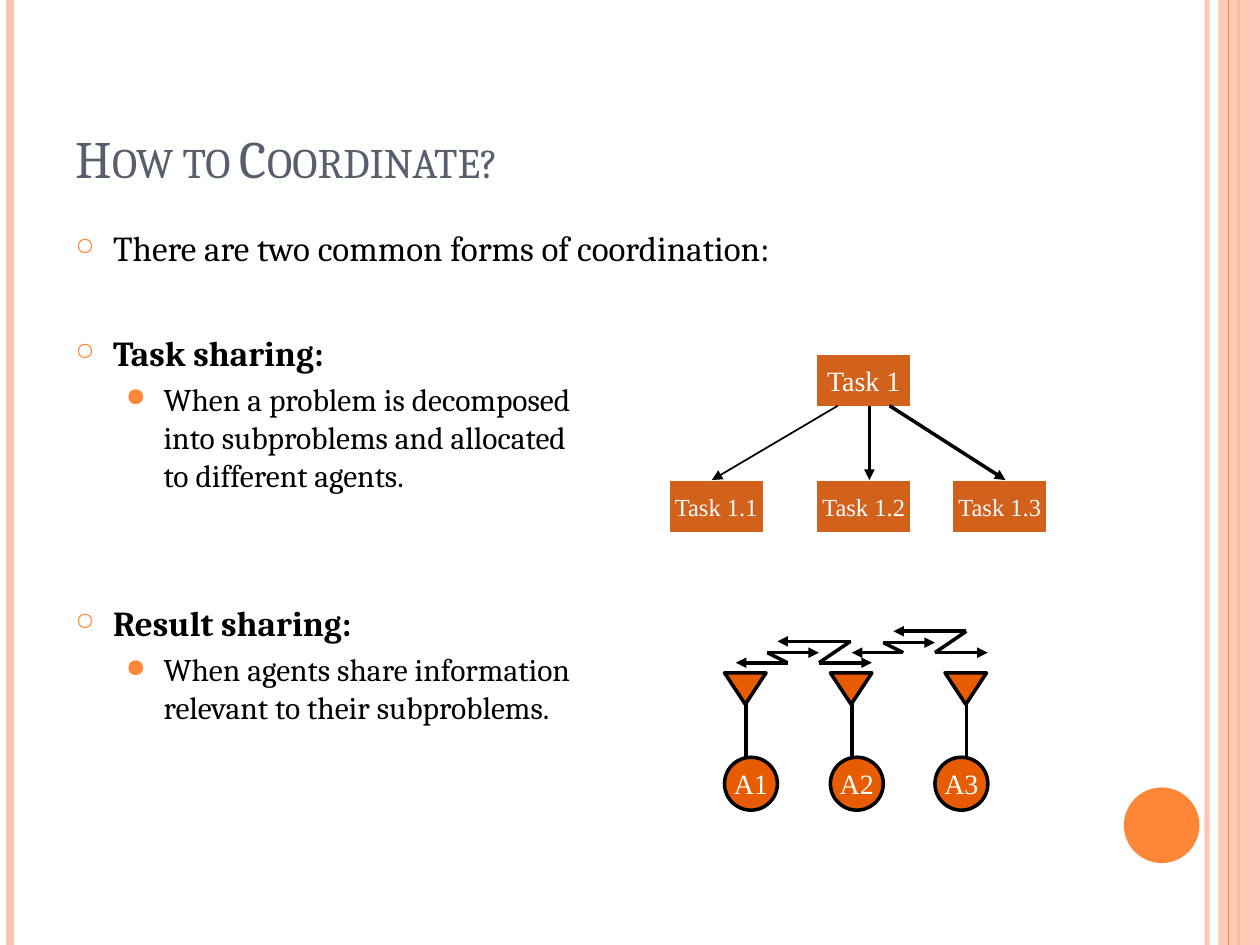
from typing import NamedTuple, Optional

from lxml.etree import SubElement
from pptx import Presentation
from pptx.dml.color import RGBColor
from pptx.enum.shapes import MSO_CONNECTOR, MSO_SHAPE
from pptx.enum.text import MSO_ANCHOR, MSO_AUTO_SIZE, PP_ALIGN
from pptx.oxml.ns import qn
from pptx.util import Inches, Pt

BLACK = RGBColor(0x00, 0x00, 0x00)
WHITE = RGBColor(0xFF, 0xFF, 0xFF)
SLATE = RGBColor(0x57, 0x5F, 0x6D)
ORANGE = RGBColor(0xFE, 0x86, 0x37)
PEACH = RGBColor(0xFE, 0xC3, 0xAE)
TASK_FILL = RGBColor(0xD2, 0x61, 0x1C)
AGENT_FILL = RGBColor(0xE7, 0x5C, 0x01)
SERIF = "Cambria"
LABEL_FONT = "Times New Roman"


class Bullet(NamedTuple):
    char: str
    size: int
    indent: float


class Point(NamedTuple):
    lines: tuple
    level: int = 0
    before: float = 6
    bold: bool = False


class Task(NamedTuple):
    label: str
    left: float
    top: float
    size: int


class Arrow(NamedTuple):
    start: tuple
    end: tuple
    width: float = 2
    head: bool = False
    tail: bool = False


class Agent(NamedTuple):
    label: str
    left: float
    antenna_left: float


BULLETS = (Bullet("○", 70, 0.3), Bullet("●", 80, 0.7))
POINTS = (
    Point(("There are two common forms of coordination:",), before=0),
    Point(("Task sharing:",), before=36, bold=True),
    Point(("When a problem is decomposed ", "into subproblems and allocated ",
           "to different agents."), level=1, before=3.6),
    Point(("Result sharing:",), before=62, bold=True),
    Point(("When agents share information ", "relevant to their subproblems."),
          level=1, before=3.6),
)
TASKS = (Task("Task 1", 6.48, 2.81, 16), Task("Task 1.1", 5.31, 3.81, 14),
         Task("Task 1.2", 6.48, 3.81, 14), Task("Task 1.3", 7.56, 3.81, 14))
TASK_ARROWS = (Arrow((6.65, 3.22), (5.65, 3.81), width=1, tail=True),
               Arrow((6.9, 3.22), (6.9, 3.81), tail=True),
               Arrow((7.06, 3.22), (7.98, 3.81), tail=True))
AGENTS = (Agent("A1", 5.75, 5.75), Agent("A2", 6.59, 6.59), Agent("A3", 7.42, 7.5))
EXCHANGES = (
    ((5.84, 5.26), (6.25, 5.26), (6.09, 5.18), (6.5, 5.18)),
    ((6.17, 5.09), (6.75, 5.09), (6.5, 5.26), (6.92, 5.26)),
)
EXCHANGE_SHIFTS = ((0, 0), (0.92, -0.08))


def apply_format(target, **values) -> None:
    for name, value in values.items():
        setattr(target, name, value)


def set_alpha(fill_parent, percent: int) -> None:
    color = next(fill_parent.iter(qn("a:srgbClr")))
    SubElement(color, qn("a:alpha"), val=str(percent * 1000))


def add_line(slide, arrow: Arrow, color: RGBColor = BLACK):
    connector = slide.shapes.add_connector(
        MSO_CONNECTOR.STRAIGHT, *map(Inches, arrow.start + arrow.end))
    connector.line.color.rgb = color
    connector.line.width = Pt(arrow.width)
    line = connector.line._get_or_add_ln()
    for tag, present in (("a:headEnd", arrow.head), ("a:tailEnd", arrow.tail)):
        if present:
            SubElement(line, qn(tag), type="triangle")
    SubElement(connector._element.spPr, qn("a:effectLst"))
    return connector


def add_solid(slide, kind, box: tuple, fill: RGBColor,
              outline: Optional[RGBColor] = None, width: float = 2):
    shape = slide.shapes.add_shape(kind, *map(Inches, box))
    shape.shadow.inherit = False
    shape.fill.solid()
    shape.fill.fore_color.rgb = fill
    if outline is None:
        shape.line.fill.background()
    else:
        shape.line.color.rgb = outline
        shape.line.width = Pt(width)
    return shape


def add_label(shape, label: str, size: int) -> None:
    apply_format(shape.text_frame, word_wrap=False, vertical_anchor=MSO_ANCHOR.MIDDLE)
    paragraph = shape.text_frame.paragraphs[0]
    paragraph.alignment = PP_ALIGN.CENTER
    run = paragraph.add_run()
    run.text = label
    apply_format(run.font, size=Pt(size), name=LABEL_FONT)
    run.font.color.rgb = WHITE


def add_frame(slide) -> None:
    """Draw the coloured bands at both edges and the corner disc."""
    inner = add_line(slide, Arrow((9.58, 0), (9.58, 7.5), 3), PEACH)
    set_alpha(inner._element, 93)
    add_line(slide, Arrow((0.08, 0), (0.08, 7.5), 4.5), PEACH)
    add_line(slide, Arrow((9.83, 0), (9.83, 7.5), 1.5), ORANGE)
    band = add_solid(slide, MSO_SHAPE.RECTANGLE, (9.67, 0, 0.33, 7.5), PEACH)
    set_alpha(band._element.spPr, 87)
    add_line(slide, Arrow((9.75, 0), (9.75, 7.5), 0.75), ORANGE)
    add_solid(slide, MSO_SHAPE.OVAL, (8.92, 6.25, 0.6, 0.6), ORANGE)


def add_title(slide) -> None:
    title = slide.shapes.title
    apply_format(title, left=Inches(0.5), top=Inches(0.3),
                 width=Inches(8.17), height=Inches(1.25))
    apply_format(title.text_frame, vertical_anchor=MSO_ANCHOR.BOTTOM,
                 auto_size=MSO_AUTO_SIZE.NONE)
    paragraph = title.text_frame.paragraphs[0]
    paragraph.alignment = PP_ALIGN.LEFT
    run = paragraph.add_run()
    run.text = "How to Coordinate?"
    apply_format(run.font, size=Pt(30), name=SERIF)
    run.font.color.rgb = SLATE
    run.font._element.set("cap", "small")


def add_bullet(paragraph, bullet: Bullet) -> None:
    properties = paragraph._p.get_or_add_pPr()
    properties.set("marL", str(Inches(bullet.indent)))
    properties.set("indent", str(Inches(-0.3)))
    color = SubElement(properties, qn("a:buClr"))
    SubElement(color, qn("a:srgbClr"), val=str(ORANGE))
    SubElement(properties, qn("a:buSzPct"), val=str(bullet.size * 1000))
    SubElement(properties, qn("a:buChar"), char=bullet.char)


def add_points(slide) -> None:
    body = slide.shapes.add_textbox(*map(Inches, (0.5, 1.75, 8.17, 5.33))).text_frame
    body.word_wrap = True
    for index, point in enumerate(POINTS):
        paragraph = body.add_paragraph() if index else body.paragraphs[0]
        add_bullet(paragraph, BULLETS[point.level])
        apply_format(paragraph, level=point.level, space_before=Pt(point.before))
        for number, line in enumerate(point.lines):
            if number:
                paragraph.add_line_break()
            run = paragraph.add_run()
            run.text = line
            apply_format(run.font, size=Pt(20 - 2 * point.level),
                         name=SERIF, bold=point.bold)
            run.font.color.rgb = BLACK


def add_task_tree(slide) -> None:
    for task in TASKS:
        box = add_solid(slide, MSO_SHAPE.RECTANGLE, (task.left, task.top, 0.75, 0.42),
                        TASK_FILL, WHITE, 0.75)
        add_label(box, task.label, task.size)
    for arrow in TASK_ARROWS:
        add_line(slide, arrow)


def add_agents(slide) -> None:
    for agent in AGENTS:
        body = add_solid(slide, MSO_SHAPE.OVAL, (agent.left, 6.01, 0.42, 0.42),
                         AGENT_FILL, BLACK)
        add_label(body, agent.label, 16)
        antenna = add_solid(slide, MSO_SHAPE.ISOSCELES_TRIANGLE,
                            (agent.antenna_left, 5.34, 0.33, 0.25), AGENT_FILL, BLACK)
        antenna.rotation = 180
        mast = agent.antenna_left + 0.17
        add_line(slide, Arrow((mast, 5.59), (mast, 6.01)))
    for dx, dy in EXCHANGE_SHIFTS:
        for exchange in EXCHANGES:
            a, b, c, d = [(x + dx, y + dy) for x, y in exchange]
            for arrow in (Arrow(a, b, head=True), Arrow(b, c), Arrow(c, d, tail=True)):
                add_line(slide, arrow)


def main() -> None:
    deck = Presentation()
    apply_format(deck, slide_width=Inches(10), slide_height=Inches(7.5))
    slide = deck.slides.add_slide(deck.slide_layouts[5])
    for draw in (add_frame, add_title, add_points, add_task_tree, add_agents):
        draw(slide)
    deck.save("out.pptx")


if __name__ == "__main__":
    main()
